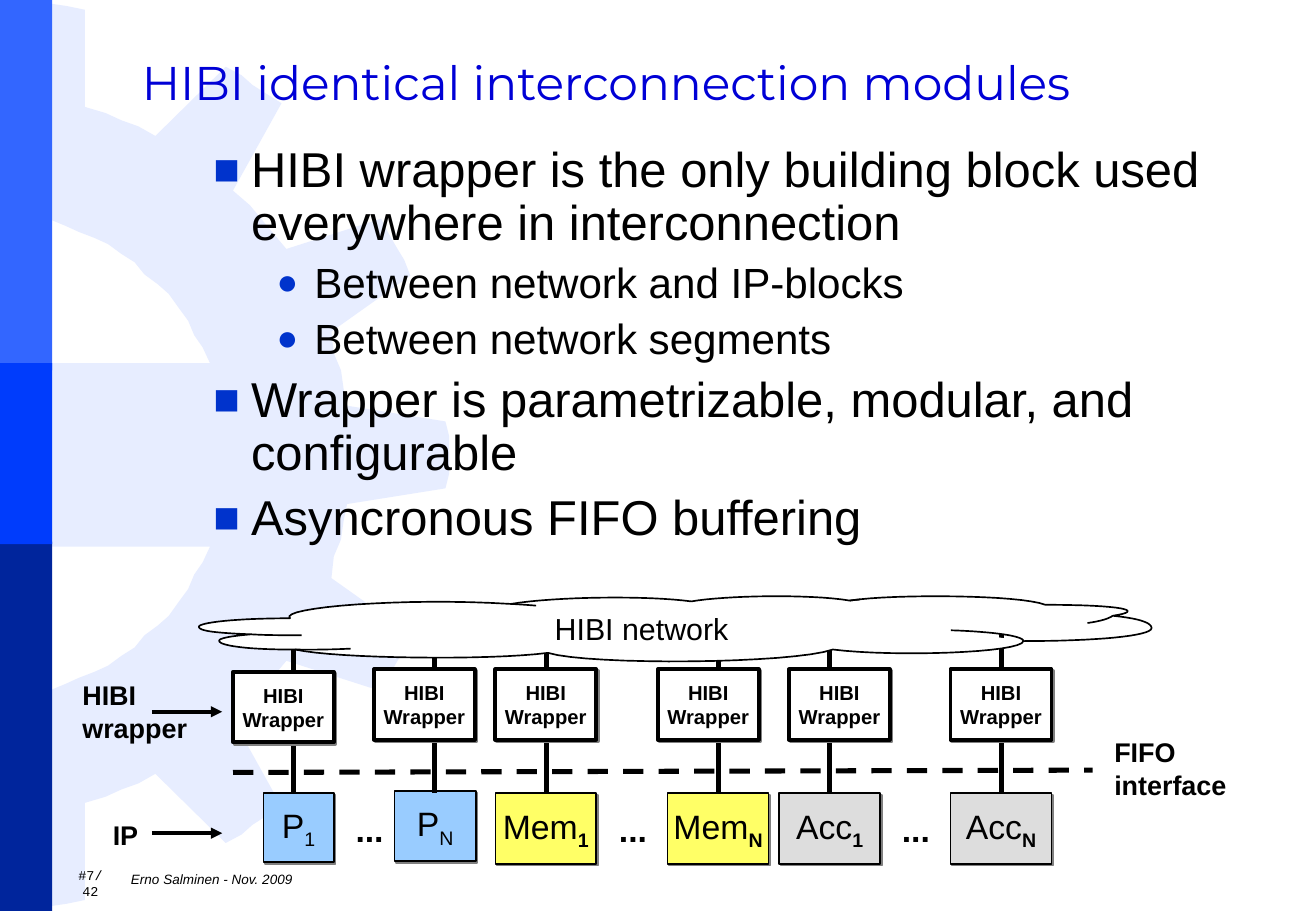
from dataclasses import dataclass

import pptx
import pptx.dml.color
import pptx.enum.dml
import pptx.enum.shapes
import pptx.enum.text
import pptx.oxml
import pptx.oxml.ns
import pptx.util

Pt = pptx.util.Pt
ALIGN = pptx.enum.text.PP_ALIGN
ANCHOR = pptx.enum.text.MSO_ANCHOR
NS = pptx.oxml.ns.nsdecls("a")
Point = tuple[float, float]


@dataclass
class Label:
    text: str
    x: float
    y: float
    w: float
    h: float
    size: float
    bold: bool = False
    italic: bool = False
    font: str = "Arial"
    color: str = "000000"
    wrap: bool = False
    align: ALIGN = ALIGN.LEFT
    anchor: ANCHOR = ANCHOR.TOP


@dataclass
class Column:
    x: float
    line_top: float
    wrapper_x: float
    wrapper_y: float
    ip: Point
    ip_size: Point
    name: str
    index: str
    fill: str
    bold_index: bool = True


@dataclass
class Line:
    start: Point
    end: Point
    width: float
    dashed: bool = False
    arrow: bool = False


LABELS = [
    Label("#7/42", 38.2, 514, 31, 18.7, 8, font="Courier New", align=ALIGN.CENTER, anchor=ANCHOR.MIDDLE),
    Label("HIBI identical interconnection modules", 77, 25.9, 682, 45.4, 28, font="Montserrat",
          color="0000D6", wrap=True, anchor=ANCHOR.MIDDLE),
    Label("FIFO interface", 653.8, 432.7, 112.3, 46, 16, bold=True, wrap=True),
    Label("IP", 59.8, 481.7, 29.5, 26.6, 16, bold=True),
    Label("HIBI\nwrapper", 41.8, 398.9, 76.3, 46, 16, bold=True),
    Label("Erno Salminen - Nov. 2009", 70.6, 512, 676, 18.7, 8, italic=True, wrap=True, anchor=ANCHOR.MIDDLE),
] + [Label("...", x, 476, 31, 31.7, 20, bold=True) for x in (203.8, 360, 527.8)]

COLUMNS = [
    Column(174.2, 364.3, 138.2, 398.2, (156.2, 470.2), (41.8, 41), "P", "1", "99CCFF", False),
    Column(257.8, 380.2, 221.8, 396.7, (234, 468.7), (48.2, 41.8), "P", "N", "99CCFF", False),
    Column(324, 380.2, 293.8, 396.7, (293.8, 470.2), (59.8, 41.8), "Mem", "1", "FFFF66"),
    Column(426.2, 380.2, 390.2, 396.7, (396, 470.2), (59.8, 41.8), "Mem", "N", "FFFF66"),
    Column(491.8, 380.2, 468, 396.7, (462.2, 470.2), (59.8, 41.8), "Acc", "1", "DDDDDD"),
    Column(594, 373.7, 563.8, 396.7, (563.8, 470.2), (59.8, 41.8), "Acc", "N", "DDDDDD"),
]
LINES = [Line((c.x, c.line_top), (c.x, 470.2), 3) for c in COLUMNS] + [
    Line((138.2, 457.9), (648, 456.5), 3, dashed=True),
    Line((90, 493.9), (131.8, 493.9), 2.25, arrow=True),
    Line((90, 421.9), (131.8, 421.9), 2.25, arrow=True),
]
BULLETS = [
    (0, "HIBI wrapper is the only building block used everywhere in interconnection"),
    (1, "Between network and IP-blocks"),
    (1, "Between network segments"),
    (0, "Wrapper is parametrizable, modular, and configurable"),
    (0, "Asyncronous FIFO buffering"),
]
LEVELS = [("■", 90, 22.3, 29, 7.3), ("●", 85, 59.8, 25, 6.2)]
BANDS = [(0, 219.6, "3366FF"), (321.1, 218.9, "00259C"), (215.3, 107.3, "003CFC")]

GEAR_HEIGHT = 539.3
GEAR_TOP = [
    (266.4, 258.5), (264.2, 249.8), (205.9, 240.5), (203.8, 230.4), (202.3, 219.6), (198, 209.5),
    (196.6, 196.6), (243.4, 163.4), (239.8, 154.1), (235.4, 146.9), (230.4, 138.2), (226.1, 129.6),
    (169.9, 147.6), (162, 138.2), (154.8, 129.6), (148.3, 121.7), (138.2, 113), (167, 61.2),
    (157.7, 55.4), (149.8, 50.4), (143.3, 44.6), (133.9, 39.6), (92.2, 80.6), (82.1, 74.9),
    (72, 71.3), (62.6, 67), (50.4, 63.4), (50.4, 5.8), (39.6, 3.6), (30.2, 2.2), (20.9, 0.7),
    (10.1, 0), (10.1, 126.7), (20.2, 129.6), (30.2, 130.3), (38.9, 133.9), (46.8, 137.5),
    (56.2, 141.1), (64.1, 144.7), (72, 150.5), (79.9, 155.5), (85.7, 162.7), (93.6, 168.5),
    (100.1, 174.2), (105.8, 182.2), (111.6, 190.1), (115.2, 198.7), (120.2, 205.9),
    (124.6, 215.3), (0, 215.3),
]
CLOUD = [
    (172, 366.5), (140, 366.5), (118, 369), (118, 371.5), (118, 374), (128, 375.2), (149, 376),
    (137, 377), (130, 378.3), (130, 379.8), (130, 383), (150, 385.2), (175, 385),
    (200, 390.5), (290, 391.5), (325, 387), (350, 394.5), (470, 393.5), (494, 385),
    (530, 389.5), (606, 387), (607, 380), (650, 380), (683, 377), (683, 372.3),
    (683, 369), (675, 366.5), (660, 365), (680, 362), (666, 358.5), (620, 358.5),
    (605, 352.5), (530, 352), (504, 356), (480, 352), (430, 353), (410, 356.5),
    (385, 353), (330, 353.5), (303, 358), (240, 354), (165, 360), (172, 366.5),
]
CLOUD_TAILS = [
    [(149, 376), (157, 376.5), (168, 376.6), (179, 376.5)],
    [(175, 385), (186, 385.2), (197, 385), (208, 384.5)],
    [(607, 380), (607, 377), (590, 374.5), (564, 373.6)],
    [(660, 365), (657, 367), (652, 368.3), (645, 369.3)],
    [(504, 356), (506, 355.7), (508, 355.5), (510, 355.4)],
    [(303, 358), (308, 358.2), (313, 358.6), (318, 359)],
]


def rgb(value: str) -> pptx.dml.color.RGBColor:
    return pptx.dml.color.RGBColor.from_string(value)


def paint(sp, fill: str, line: float = 0) -> None:
    sp.shadow.inherit = False
    sp.fill.solid()
    sp.fill.fore_color.rgb = rgb(fill)
    if line:
        sp.line.color.rgb = rgb("000000")
        sp.line.width = Pt(line)
    else:
        sp.line.fill.background()


def style(tf, size: float, bold: bool = False, italic: bool = False, font: str = "Arial",
          color: str = "000000", align: ALIGN = ALIGN.LEFT) -> None:
    for p in tf.paragraphs:
        p.alignment = align
        for r in p.runs:
            r.font.size, r.font.bold, r.font.italic = Pt(size), bold, italic
            r.font.name, r.font.color.rgb = font, rgb(color)


def add_label(s, d: Label) -> None:
    tf = s.shapes.add_textbox(Pt(d.x), Pt(d.y), Pt(d.w), Pt(d.h)).text_frame
    tf.text, tf.word_wrap, tf.vertical_anchor = d.text, d.wrap, d.anchor
    style(tf, d.size, d.bold, d.italic, d.font, d.color, d.align)


def add_rect(s, x: float, y: float, w: float, h: float, fill: str, line: float = 0):
    sp = s.shapes.add_shape(pptx.enum.shapes.MSO_SHAPE.RECTANGLE, Pt(x), Pt(y), Pt(w), Pt(h))
    paint(sp, fill, line)
    return sp


def add_block(s, x: float, y: float, w: float, h: float, fill: str, line: float, text: str, size: float, bold: bool):
    sp = add_rect(s, x, y, w, h, fill, line)
    effects = sp._element.spPr.find(pptx.oxml.ns.qn("a:effectLst"))
    effects.append(pptx.oxml.parse_xml(
        f'<a:outerShdw {NS} blurRad="0" dist="{Pt(1.4)}" dir="2700000" algn="ctr" rotWithShape="0">'
        '<a:srgbClr val="808080"/></a:outerShdw>'))
    tf = sp.text_frame
    tf.text, tf.word_wrap, tf.vertical_anchor = text, False, ANCHOR.MIDDLE
    style(tf, size, bold, align=ALIGN.CENTER)
    return sp


def add_ip(s, c: Column) -> None:
    sp = add_block(s, *c.ip, *c.ip_size, c.fill, 1, c.name, 20, False)
    r = sp.text_frame.paragraphs[0].add_run()
    r.text = c.index
    r.font.size, r.font.bold, r.font.name = Pt(20), c.bold_index, "Arial"
    r.font.color.rgb = rgb("000000")
    r.font._element.set("baseline", "-25000")


def add_line(s, d: Line) -> None:
    cx = s.shapes.add_connector(pptx.enum.shapes.MSO_CONNECTOR.STRAIGHT, *map(Pt, d.start + d.end))
    cx.line.color.rgb, cx.line.width = rgb("000000"), Pt(d.width)
    if d.dashed:
        cx.line.dash_style = pptx.enum.dml.MSO_LINE.DASH
    if d.arrow:
        cx.line._get_or_add_ln().append(pptx.oxml.parse_xml(f'<a:tailEnd {NS} type="triangle"/>'))
    cx._element.spPr.append(pptx.oxml.parse_xml(f"<a:effectLst {NS}/>"))


def curve(controls: list[Point], steps: int = 16) -> list[Point]:
    points = [controls[0]]
    for i in range(0, len(controls) - 1, 3):
        for k in range(1, steps + 1):
            t = k / steps
            weights = ((1 - t) ** 3, 3 * t * (1 - t) ** 2, 3 * t * t * (1 - t), t ** 3)
            x, y = (sum(w * c[axis] for w, c in zip(weights, controls[i:i + 4])) for axis in (0, 1))
            points.append((x, y))
    return points


def add_outline(s, outline: list[Point], tails: list[list[Point]], fill: str, line: float = 0):
    emu = [[(Pt(x), Pt(y)) for x, y in part] for part in [outline, *tails]]
    fb = s.shapes.build_freeform(*emu[0][0])
    fb.add_line_segments(emu[0][1:], close=True)
    for tail in emu[1:]:
        fb.move_to(*tail[0])
        fb.add_line_segments(tail[1:], close=False)
    sp = fb.convert_to_shape()
    paint(sp, fill, line)
    return sp


def add_bullets(s) -> None:
    tf = s.shapes.add_textbox(Pt(119.5), Pt(82.8), Pt(626.4), Pt(255.6)).text_frame
    tf.word_wrap = True
    tf.text = "\n".join(text for _, text in BULLETS)
    style(tf, LEVELS[0][3])
    for i, (p, (level, _)) in enumerate(zip(tf.paragraphs, BULLETS)):
        char, percent, margin, size, before = LEVELS[level]
        pPr = p._p.get_or_add_pPr()
        pPr.set("marL", str(Pt(margin)))
        pPr.set("indent", str(-Pt(22.3)))
        for xml in (f'<a:buClr {NS}><a:srgbClr val="0033CC"/></a:buClr>',
                    f'<a:buSzPct {NS} val="{percent * 1000}"/>',
                    f'<a:buFont {NS} typeface="Arial"/>', f'<a:buChar {NS} char="{char}"/>'):
            pPr.append(pptx.oxml.parse_xml(xml))
        p.level, p.line_spacing = level, 0.9
        p.space_before = Pt(before if i else 0)
        p.runs[0].font.size = Pt(size)


def main() -> None:
    prs = pptx.Presentation()
    prs.slide_width, prs.slide_height = Pt(780.48), Pt(540)
    s = prs.slides.add_slide(prs.slide_layouts[6])
    gear_bottom = [(x, GEAR_HEIGHT - y) for x, y in reversed(GEAR_TOP)]
    add_outline(s, GEAR_TOP + gear_bottom, [], "E7EDFF")
    for y, h, fill in BANDS:
        add_rect(s, 0, y, 31, h, fill)
    add_bullets(s)
    for c in COLUMNS:
        add_ip(s, c)
    for d in LINES:
        add_line(s, d)
    cloud = add_outline(s, curve(CLOUD), [curve(tail) for tail in CLOUD_TAILS], "FFFFFF", 1)
    tf = cloud.text_frame
    tf.text, tf.word_wrap, tf.vertical_anchor = "HIBI network", True, ANCHOR.MIDDLE
    tf.margin_left = Pt(211)
    style(tf, 18)
    for c in COLUMNS:
        add_block(s, c.wrapper_x, c.wrapper_y, 59.8, 41.8, "FFFFFF", 2.25, "HIBI\nWrapper", 12, True)
    for d in LABELS:
        add_label(s, d)
    prs.save("out.pptx")


if __name__ == "__main__":
    main()
